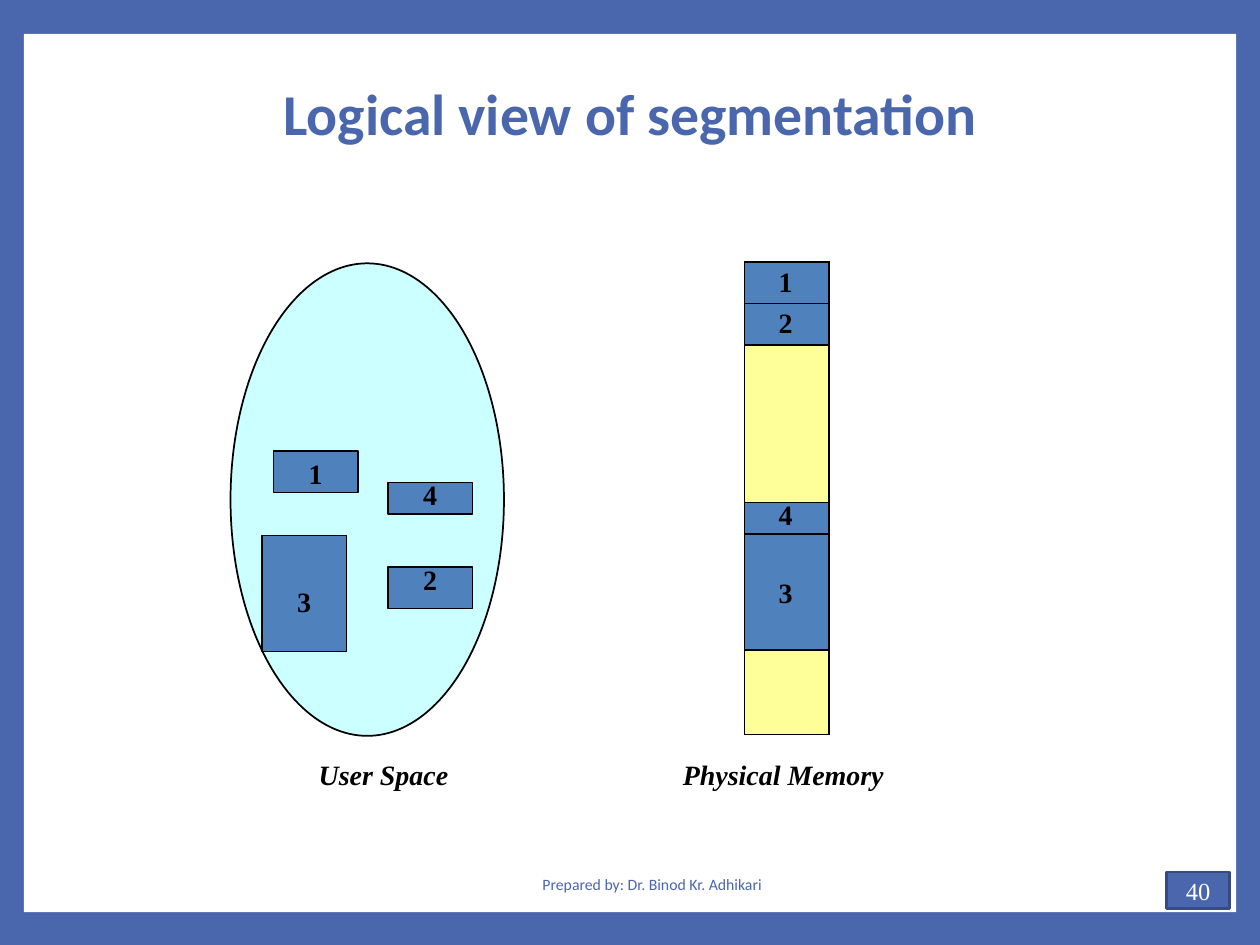
from dataclasses import dataclass

from pptx import Presentation
from pptx.dml.color import RGBColor
from pptx.enum.shapes import MSO_SHAPE
from pptx.enum.text import MSO_ANCHOR, PP_ALIGN
from pptx.oxml import parse_xml
from pptx.oxml.ns import nsdecls
from pptx.util import Inches, Pt


@dataclass(frozen=True)
class Theme:
    blue: str = "4A66AC"
    dark_blue: str = "374B7F"
    white: str = "FFFFFF"
    black: str = "000000"
    segment: str = "4F81BC"
    free: str = "FFFF99"
    user_space: str = "CCFFFF"
    sans: str = "Calibri"
    serif: str = "Times New Roman"
    title_size: float = 33
    label_size: float = 16
    number_size: float = 14
    footer_size: float = 9
    label_spacing: float = 16.4


class SlideBuilder:
    def __init__(self, slide, theme):
        self.s = slide
        self.theme = theme

    def background(self, color):
        fill = self.s.background.fill
        fill.solid()
        fill.fore_color.rgb = RGBColor.from_string(color)

    def set_text(self, tf, text, size, color, font, align=PP_ALIGN.CENTER,
                 bold=False, italic=False, spacing=None):
        p = tf.paragraphs[0]
        p.add_run().text = text
        p.alignment = align
        if spacing:
            p.line_spacing = Pt(spacing)
        p.font.size = Pt(size)
        p.font.name = font
        p.font.bold = bold
        p.font.italic = italic
        p.font.color.rgb = RGBColor.from_string(color)

    def set_label(self, tf, text, align=PP_ALIGN.CENTER):
        t = self.theme
        self.set_text(tf, text, t.label_size, t.black, t.serif, align,
                      bold=True, spacing=t.label_spacing)

    def shape(self, kind, box, fill, line=None, width=1):
        sp = self.s.shapes.add_shape(kind, *map(Inches, box))
        sp.shadow.inherit = False
        sp.fill.solid()
        sp.fill.fore_color.rgb = RGBColor.from_string(fill)
        if line:
            sp.line.color.rgb = RGBColor.from_string(line)
            sp.line.width = Pt(width)
        else:
            sp.line.fill.background()
        return sp

    def segment(self, label, box, top_inset):
        t = self.theme
        tf = self.shape(MSO_SHAPE.RECTANGLE, box, t.segment, t.black).text_frame
        tf.vertical_anchor = MSO_ANCHOR.TOP
        tf.margin_left = tf.margin_right = tf.margin_bottom = 0
        tf.margin_top = Inches(top_inset)
        self.set_label(tf, label)

    def text(self, text, box, size, color, font, anchor=MSO_ANCHOR.MIDDLE, **style):
        tf = self.s.shapes.add_textbox(*map(Inches, box)).text_frame
        tf.word_wrap = True
        tf.vertical_anchor = anchor
        tf.margin_left = tf.margin_right = tf.margin_bottom = 0
        tf.margin_top = Inches(0.01)
        self.set_text(tf, text, size, color, font, **style)

    def border(self, cell):
        tc_pr = cell._tc.get_or_add_tcPr()
        for i, side in enumerate(("lnL", "lnR", "lnT", "lnB")):
            tc_pr.insert(i, parse_xml(
                f'<a:{side} {nsdecls("a")} w="{Pt(1)}"><a:solidFill>'
                f'<a:srgbClr val="{self.theme.black}"/></a:solidFill></a:{side}>'))

    def memory_table(self, left, top, width, rows):
        """Draw one column from (label, height, top inset) rows; no label means free."""
        t = self.theme
        height = sum(row[1] for row in rows)
        table = self.s.shapes.add_table(
            len(rows), 1, *map(Inches, (left, top, width, height))).table
        table.first_row = table.horz_banding = False
        for i, (label, row_height, top_inset) in enumerate(rows):
            table.rows[i].height = Inches(row_height)
            cell = table.cell(i, 0)
            cell.margin_right = cell.margin_bottom = 0
            cell.margin_left = Inches(0.27)
            cell.margin_top = Inches(top_inset)
            cell.fill.solid()
            cell.fill.fore_color.rgb = RGBColor.from_string(
                t.segment if label else t.free)
            self.border(cell)
            if label:
                self.set_label(cell.text_frame, label, PP_ALIGN.LEFT)


def main():
    t = Theme()
    prs = Presentation()
    prs.slide_width, prs.slide_height = Inches(10), Inches(7.5)
    b = SlideBuilder(prs.slides.add_slide(prs.slide_layouts[6]), t)

    b.background(t.blue)
    b.shape(MSO_SHAPE.RECTANGLE, (0.19, 0.27, 9.62, 6.97), t.white)
    number = b.shape(MSO_SHAPE.RECTANGLE, (9.26, 6.92, 0.5, 0.29),
                     t.blue, t.dark_blue, 1.5)
    b.set_text(number.text_frame, "40", t.number_size, t.white, t.serif)
    b.text("Logical view of segmentation", (1.39, 0.6, 7.22, 0.57),
           t.title_size, t.blue, t.sans, bold=True)

    b.shape(MSO_SHAPE.OVAL, (1.83, 2.09, 2.17, 3.75), t.user_space, t.black)
    b.memory_table(5.91, 2.08, 0.67, [
        ("1", 0.33, 0.06),
        ("2", 0.33, 0.06),
        ("", 1.25, 0),
        ("4", 0.25, 0),
        ("3", 0.92, 0.37),
        ("", 0.67, 0),
    ])
    for label, left, top, height, top_inset in [
        ("1", 2.17, 3.58, 0.33, 0.08),
        ("2", 3.08, 4.5, 0.33, 0),
        ("3", 2.08, 4.25, 0.92, 0.43),
        ("4", 3.08, 3.83, 0.25, 0),
    ]:
        b.segment(label, (left, top, 0.67, height), top_inset)

    for caption, left, width in [("User Space", 2.53, 1.06),
                                 ("Physical Memory", 5.42, 1.62)]:
        b.text(caption, (left, 6, width, 0.29), t.label_size, t.black, t.serif,
               MSO_ANCHOR.TOP, align=PP_ALIGN.LEFT, bold=True, italic=True)
    b.text("Prepared by: Dr. Binod Kr. Adhikari", (3.24, 6.81, 3.87, 0.4),
           t.footer_size, t.blue, t.sans)

    prs.save("out.pptx")


if __name__ == "__main__":
    main()
